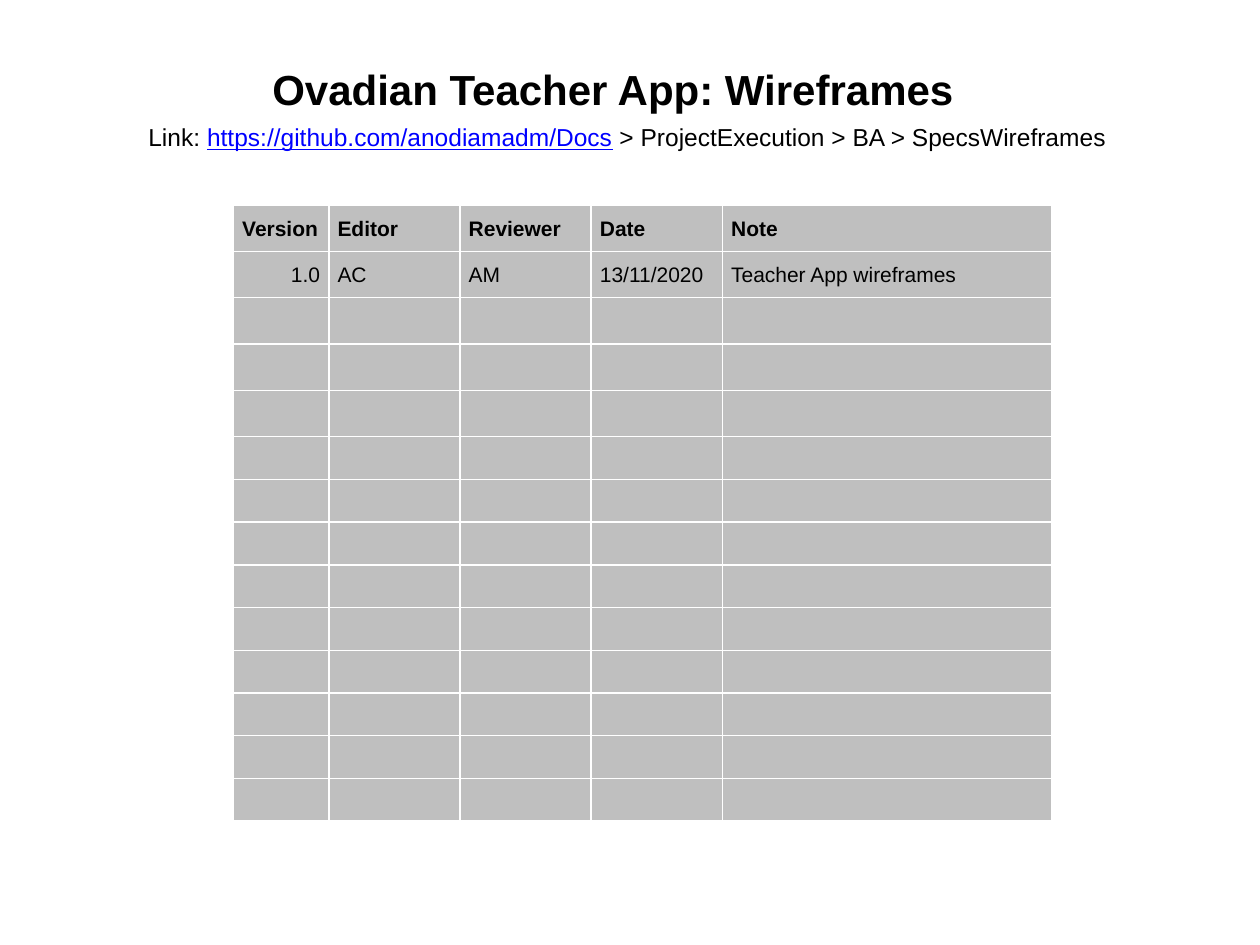
from lxml import etree
from pptx import Presentation
from pptx.dml.color import RGBColor
from pptx.enum.text import MSO_ANCHOR, MSO_AUTO_SIZE, PP_ALIGN
from pptx.oxml.ns import qn
from pptx.util import Pt

CENTER, RIGHT, JUSTIFY = PP_ALIGN.CENTER, PP_ALIGN.RIGHT, PP_ALIGN.JUSTIFY
TOP, GROW = MSO_ANCHOR.TOP, MSO_AUTO_SIZE.SHAPE_TO_FIT_TEXT

THEME = {
    "font": "Arial", "ink": "000000", "link": "0000FF",
    "cell": "BFBFBF", "rule": "FFFFFF",
    "title": 24, "body": 14, "table": 12, "lead": 1.15,
}

TITLE = "Ovadian Teacher App: Wireframes"
LINK = [
    ("Link: ", "ink", False),
    ("https://github.com/anodiamadm/Docs", "link", True),
    (" > ProjectExecution > BA > SpecsWireframes", "ink", False),
]
ROWS = [
    ("Version", "Editor", "Reviewer", "Date", "Note"),
    ("1.0", "AC", "AM", "13/11/2020", "Teacher App wireframes"),
]
COLS = [54.5, 75, 75, 75, 188]
HEIGHTS = [26.5] * 5 + [24.4] * 9

TITLE_BOX = (142.5, 27, 415.5, 41)
LINK_BOX = (33.8, 66.2, 649.4, 24.5)
TABLE_AT = (133.4, 117)
PAD = 5


def add_run(para, text, size, color="ink", bold=False, under=False):
    run = para.add_run()
    run.text = text
    font = run.font
    font.name, font.size = THEME["font"], Pt(THEME[size])
    font.bold, font.underline = bold, under
    font.color.rgb = RGBColor.from_string(THEME[color])


def set_frame(frame, wrap, pad):
    frame.word_wrap, frame.auto_size = wrap, GROW
    frame.vertical_anchor = TOP
    frame.margin_top = frame.margin_bottom = Pt(pad)
    para = frame.paragraphs[0]
    para.alignment = CENTER
    return para


def add_title(slide):
    title = slide.shapes.title
    title.left, title.top, title.width, title.height = map(Pt, TITLE_BOX)
    para = set_frame(title.text_frame, False, PAD)
    para.line_spacing = THEME["lead"]
    add_run(para, TITLE, "title", bold=True)


def add_link(slide):
    box = slide.shapes.add_textbox(*map(Pt, LINK_BOX))
    para = set_frame(box.text_frame, True, 3.6)
    for text, color, under in LINK:
        add_run(para, text, "body", color, under=under)


def add_rules(cell):
    """Draw a thin line on all four sides of a cell, below its fill in the XML."""
    props = cell._tc.get_or_add_tcPr()
    for spot, side in enumerate(("lnL", "lnR", "lnT", "lnB")):
        line = etree.Element(qn("a:" + side), w=str(Pt(1)))
        fill = etree.SubElement(line, qn("a:solidFill"))
        etree.SubElement(fill, qn("a:srgbClr"), val=THEME["rule"])
        props.insert(spot, line)


def fill_cell(cell, text, head, align):
    cell.fill.solid()
    cell.fill.fore_color.rgb = RGBColor.from_string(THEME["cell"])
    add_rules(cell)
    cell.margin_left = cell.margin_right = Pt(PAD)
    cell.margin_top = cell.margin_bottom = Pt(PAD)
    para = cell.text_frame.paragraphs[0]
    if text:
        para.alignment, para.line_spacing = align, THEME["lead"]
        add_run(para, text, "table", bold=head)
    else:
        # An empty cell needs a type size, or its row would grow.
        etree.SubElement(para._p, qn("a:endParaRPr"), sz=str(THEME["table"] * 100))


def add_log(slide):
    size = (sum(COLS), sum(HEIGHTS))
    table = slide.shapes.add_table(
        len(HEIGHTS), len(COLS), *map(Pt, TABLE_AT + size)).table
    for col, width in zip(table.columns, COLS):
        col.width = Pt(width)
    for r, height in enumerate(HEIGHTS):
        table.rows[r].height = Pt(height)
        texts = ROWS[r] if r < len(ROWS) else [""] * len(COLS)
        for c, text in enumerate(texts):
            align = RIGHT if r and c == 0 else JUSTIFY
            fill_cell(table.cell(r, c), text, r == 0, align)


def main():
    deck = Presentation()
    deck.slide_width, deck.slide_height = Pt(720), Pt(540)
    slide = deck.slides.add_slide(deck.slide_layouts[5])
    add_title(slide)
    add_link(slide)
    add_log(slide)
    deck.save("out.pptx")


if __name__ == "__main__":
    main()
